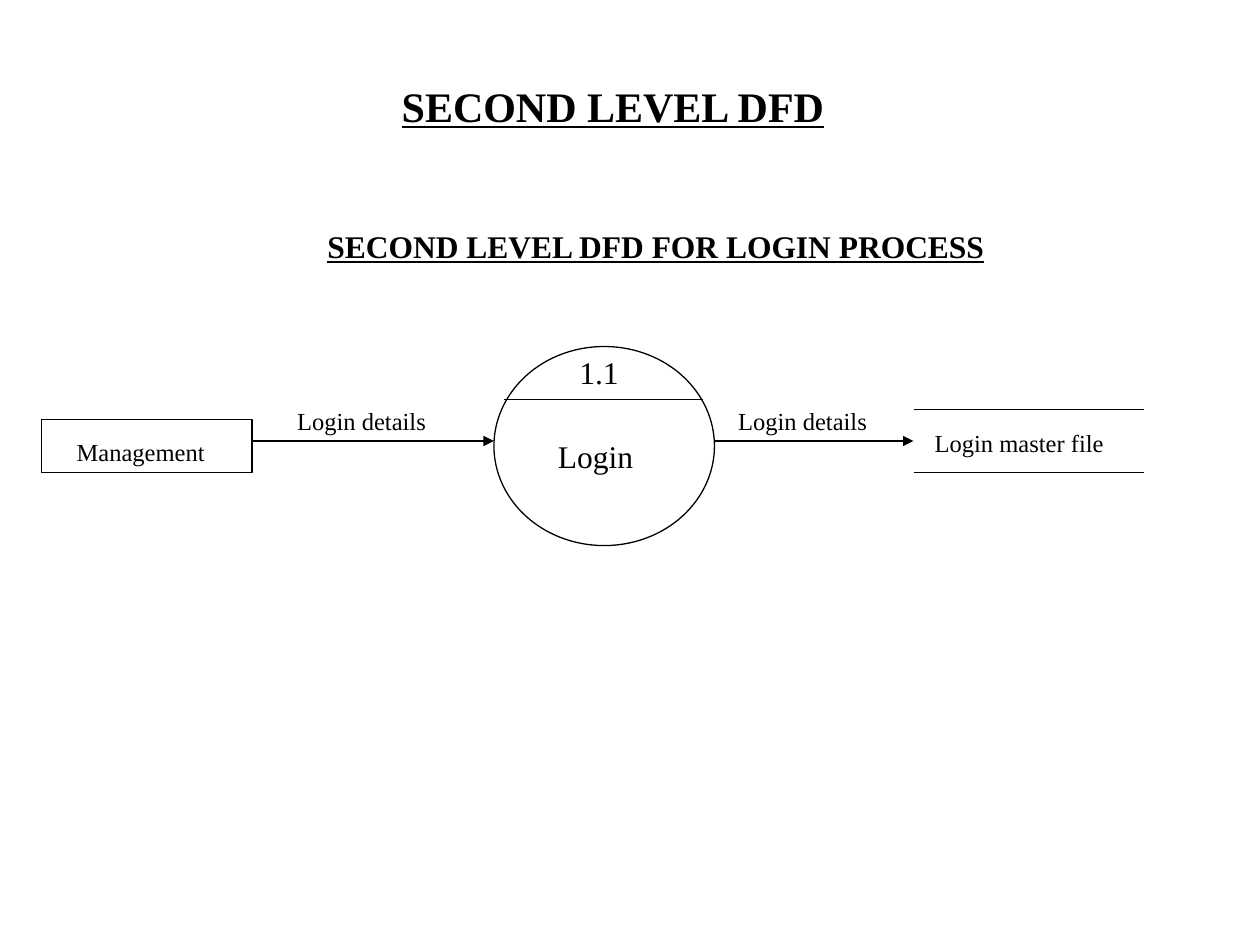
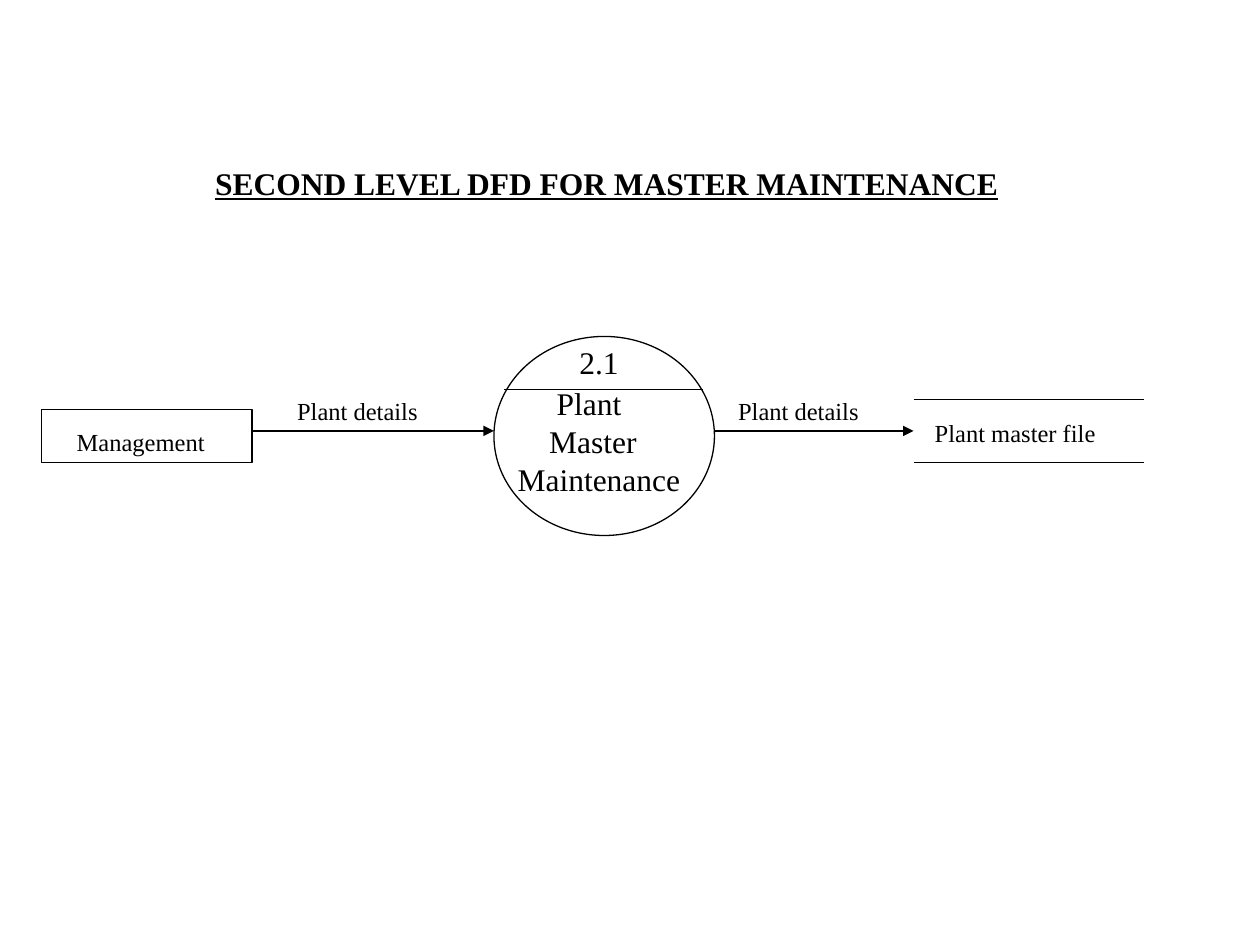
from dataclasses import dataclass

from lxml import etree
from pptx import Presentation
from pptx.dml.color import RGBColor
from pptx.enum.shapes import MSO_CONNECTOR as CONN, MSO_SHAPE as SHAPE
from pptx.enum.text import MSO_AUTO_SIZE as FIT
from pptx.oxml.ns import qn
from pptx.util import Inches, Pt


@dataclass(frozen=True)
class Theme:
    ink: RGBColor = RGBColor(0, 0, 0)
    font: str = "Times New Roman"
    title: int = 24
    body: int = 18
    label: int = 14
    line: float = 0.75


T = Theme()


def add_text(s, text, x, y, w, h, size=T.body, heading=False, wrap=False, indents=()):
    """Write one paragraph per line of text; indents gives each one's left margin in inches."""
    tf = s.shapes.add_textbox(Inches(x), Inches(y), Inches(w), Inches(h)).text_frame
    tf.word_wrap = wrap
    tf.auto_size = FIT.SHAPE_TO_FIT_TEXT
    tf.text = text
    for p in tf.paragraphs:
        f = p.runs[0].font
        f.name, f.size, f.color.rgb = T.font, Pt(size), T.ink
        if heading:
            f.bold = f.underline = True
    for p, indent in zip(tf.paragraphs, indents):
        p._p.get_or_add_pPr().set("marL", str(Inches(indent)))


def add_line(s, x1, x2, y, arrow=False):
    """Draw a horizontal line, with an arrowhead at x2 if asked."""
    c = s.shapes.add_connector(CONN.STRAIGHT, Inches(x1), Inches(y), Inches(x2), Inches(y))
    c.line.color.rgb, c.line.width = T.ink, Pt(T.line)
    if arrow:
        etree.SubElement(c.line._get_or_add_ln(), qn("a:tailEnd"), type="triangle")
    etree.SubElement(c._element.spPr, qn("a:effectLst"))


prs = Presentation()
prs.slide_width, prs.slide_height = Inches(10), Inches(7.5)

# Places across the diagram, shared by both slides
ENTITY_X, ENTITY_W = 0.33, 1.67
PROCESS_X, PROCESS_W = 3.92, 1.75
STORE_X, STORE_W = 7.25, 1.83
ENTITY_END = ENTITY_X + ENTITY_W
PROCESS_END = PROCESS_X + PROCESS_W

diagrams = [
    dict(top=2.75, number="1.1", data="Login", flow_w=1.22, store_w=1.54,
         heading=dict(text="SECOND LEVEL DFD FOR LOGIN PROCESS",
                      x=2.5, y=1.75, w=5.67, h=0.4, wrap=True),
         process=dict(text="Login", x=4.33, y=3.42, w=0.82, h=0.4)),
    dict(top=2.67, number="2.1", data="Plant", flow_w=1.16, store_w=1.48,
         heading=dict(text="SECOND LEVEL DFD FOR MASTER MAINTENANCE",
                      x=1.61, y=1.25, w=6.43, h=0.4),
         process=dict(text="Plant\nMaster\nMaintenance", x=4.01, y=3, w=1.49, h=1,
                      indents=(0.31, 0.25, 0))),
]

for d in diagrams:
    s = prs.slides.add_slide(prs.slide_layouts[6])
    top = d["top"]
    if d is diagrams[0]:
        add_text(s, "SECOND LEVEL DFD", 3.09, 0.59, 3.57, 0.5, size=T.title, heading=True)
    add_text(s, heading=True, **d["heading"])

    # Entity box and process circle
    for kind, x, y, w, h in [
        (SHAPE.RECTANGLE, ENTITY_X, top + 0.58, ENTITY_W, 0.42),
        (SHAPE.OVAL, PROCESS_X, top, PROCESS_W, 1.58),
    ]:
        sp = s.shapes.add_shape(kind, Inches(x), Inches(y), Inches(w), Inches(h))
        sp.shadow.inherit = False
        sp.fill.background()
        sp.line.color.rgb, sp.line.width = T.ink, Pt(T.line)
    add_text(s, "Management", 0.51, top + 0.67, 1.22, 0.34, size=T.label)

    # Process number above its divider, name below
    add_line(s, PROCESS_X + 0.08, PROCESS_END - 0.09, top + 0.42)
    add_text(s, d["number"], 4.5, top, 0.51, 0.4)
    add_text(s, **d["process"])

    # Data flows
    for x1, x2, label_x in [(ENTITY_END, PROCESS_X, 2.26), (PROCESS_END, STORE_X, 5.76)]:
        add_line(s, x1, x2, top + 0.75, arrow=True)
        add_text(s, f"{d['data']} details", label_x, top + 0.42, d["flow_w"], 0.34, size=T.label)

    # Data store
    for dy in (0.5, 1):
        add_line(s, STORE_X, STORE_X + STORE_W, top + dy)
    add_text(s, f"{d['data']} master file", 7.32, top + 0.6, d["store_w"], 0.34, size=T.label)

prs.save("out.pptx")
